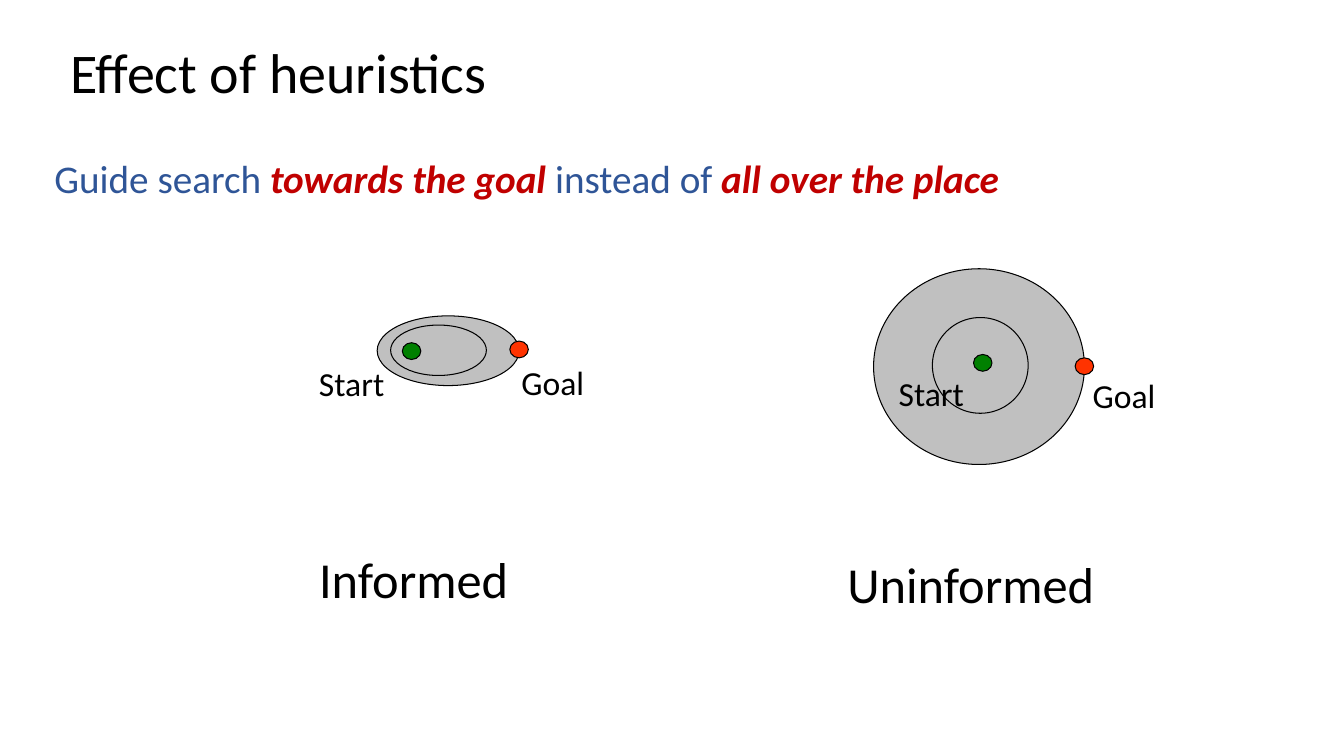
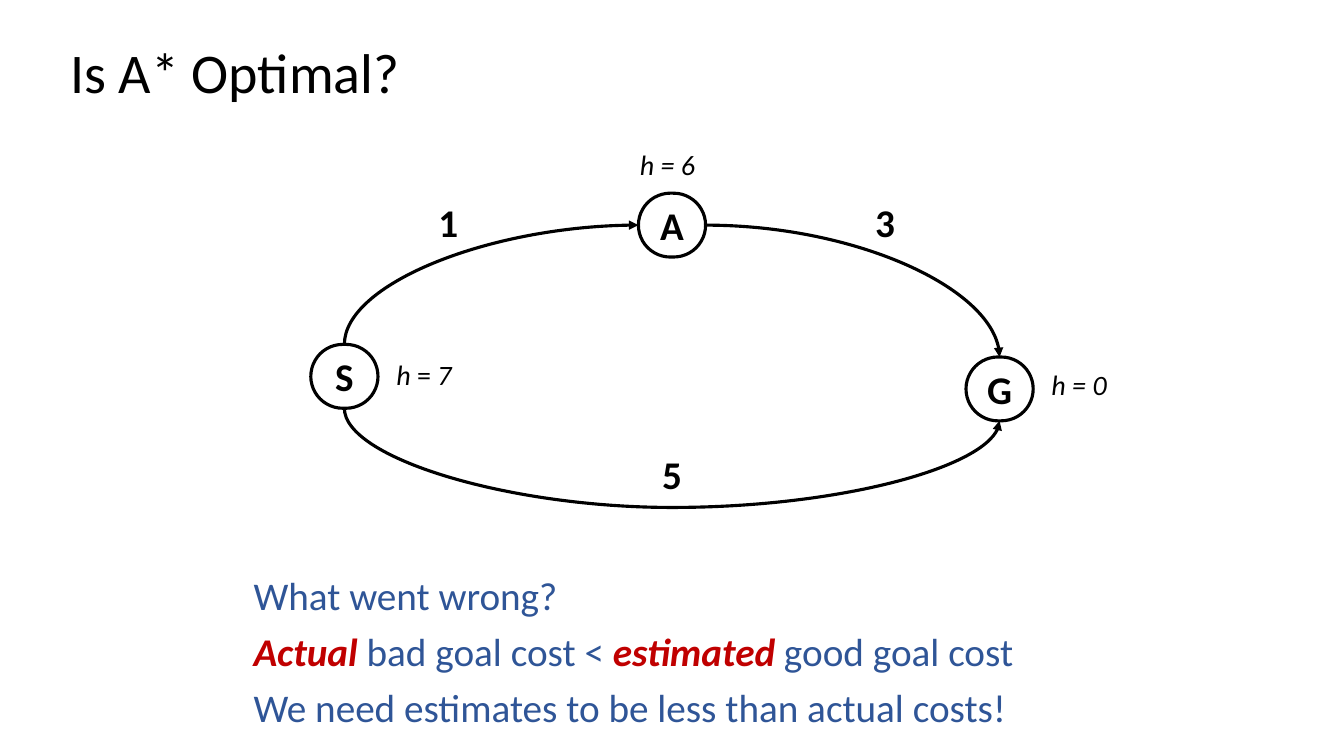
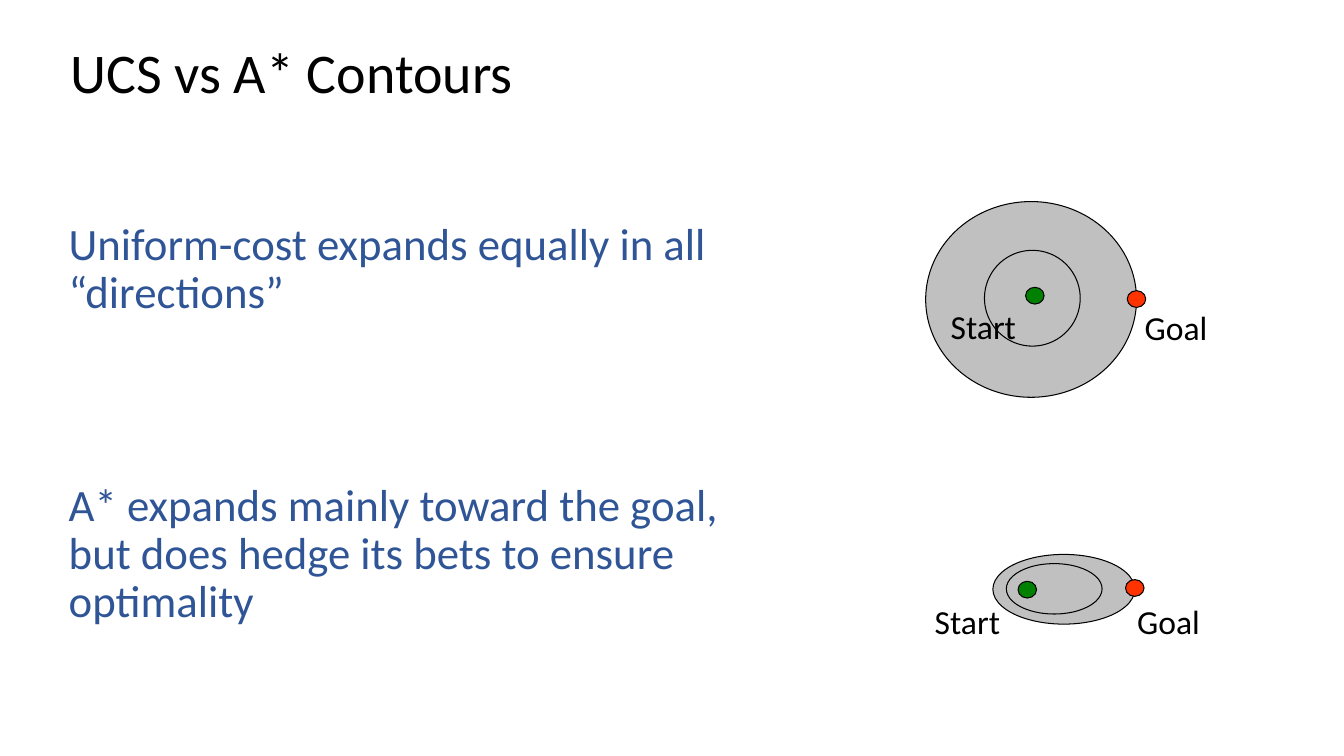
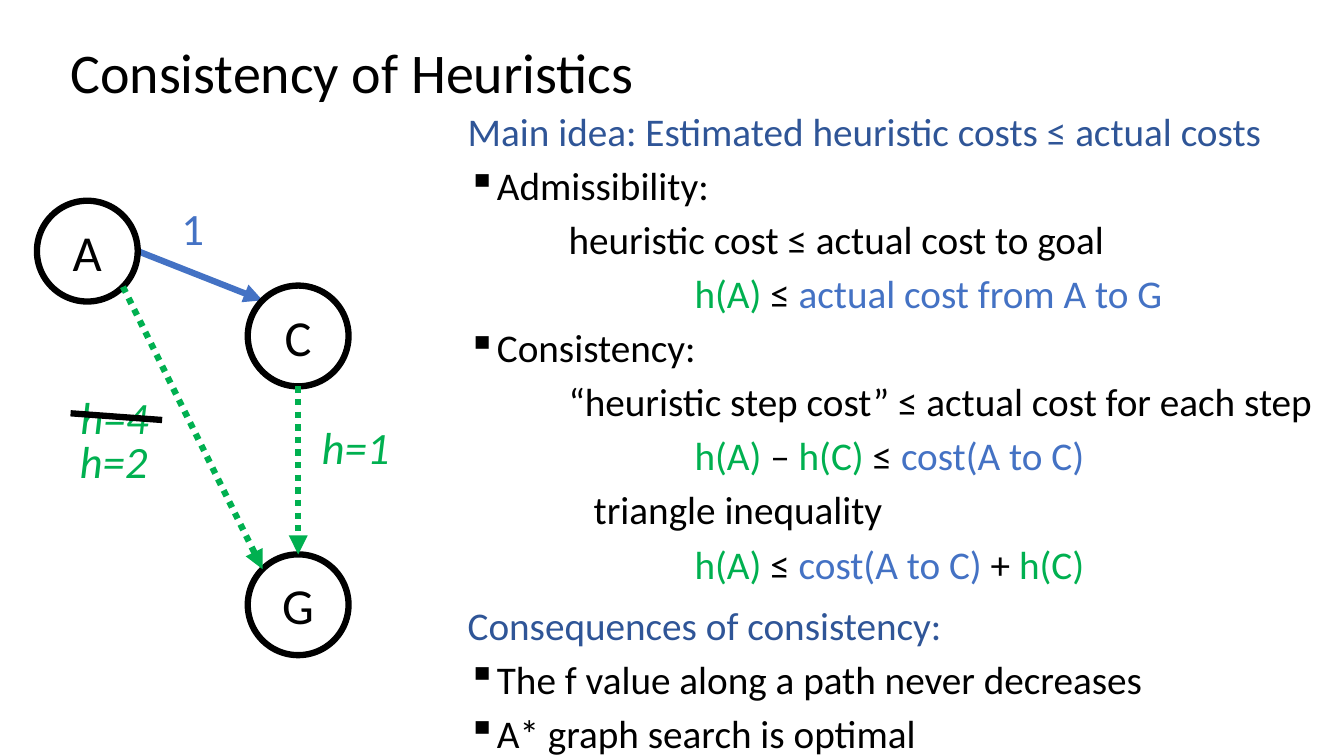
from dataclasses import dataclass
from math import cos, radians, sin

from lxml import etree
from pptx import Presentation
from pptx.dml.color import RGBColor
from pptx.enum.dml import MSO_LINE
from pptx.enum.shapes import MSO_CONNECTOR, MSO_SHAPE
from pptx.enum.text import MSO_ANCHOR, PP_ALIGN
from pptx.oxml.ns import qn
from pptx.util import Inches, Pt

ELLIPSE, ROUNDED = MSO_SHAPE.OVAL, MSO_SHAPE.ROUNDED_RECTANGLE
STRAIGHT, CURVE = MSO_CONNECTOR.STRAIGHT, MSO_CONNECTOR.CURVE
LEFT, CENTER = PP_ALIGN.LEFT, PP_ALIGN.CENTER
TOP, MIDDLE = MSO_ANCHOR.TOP, MSO_ANCHOR.MIDDLE
DOTTED = MSO_LINE.ROUND_DOT
SITE_TOP, SITE_LEFT, SITE_BOTTOM, SITE_RIGHT = range(4)

# The grid has 12 cells to the inch.
COLS, ROWS = 160, 90
CELL = Inches(1 / 12)


@dataclass(frozen=True)
class Theme:
    font: str = "Calibri"
    black: str = "000000"
    white: str = "FFFFFF"
    heading: str = "2F5597"
    alert: str = "C00000"
    cost: str = "4472C4"
    estimate: str = "00B050"
    contour: str = "C0C0C0"
    start: str = "008000"
    goal: str = "FF3300"
    title: int = 40
    large: int = 36
    lead: int = 32
    body: int = 28
    label: int = 24
    note: int = 20
    thin: float = 0.75
    medium: float = 2.25
    thick: float = 4.5


T = Theme()


@dataclass(frozen=True)
class Run:
    text: str
    color: str = T.black
    bold: bool = False
    italic: bool = False


@dataclass(frozen=True)
class Para:
    runs: tuple
    before: float = 0
    indent: float = 0
    bullet: bool = False


@dataclass(frozen=True)
class Contour:
    """Search area; all places count from its upper left corner."""
    size: tuple
    inner: tuple
    start: tuple
    start_label: tuple
    goal: tuple
    goal_label: tuple


UNINFORMED = Contour((25.1, 23.3), (7, 5.8, 11.4, 11.4),
                     (11.9, 10.2), (1.8, 11.8), (24, 10.6), (24.9, 12))
INFORMED = Contour((16.9, 8.3), (1.6, 1.1, 11.4, 6),
                   (3, 3.2), (-8.1, 5), (15.8, 3), (16, 4.9))
DOT = (2.2, 2)


def cells(*lengths):
    return [round(n * CELL) for n in lengths]


def rgb(color):
    return RGBColor.from_string(color)


def heading(text, before=0):
    return Para((Run(text, T.heading),), before)


def alert(text):
    return Run(text, T.alert, bold=True, italic=True)


def write(tf, paras, size, align=LEFT, spacing=None):
    for i, para in enumerate(paras):
        p = tf.add_paragraph() if i else tf.paragraphs[0]
        p.alignment = align
        p.space_before = Pt(para.before)
        if spacing:
            p.line_spacing = spacing
        pPr = p._p.get_or_add_pPr()
        pPr.set("marL", str(Inches(para.indent)))
        if para.bullet:
            pPr.set("indent", str(-Inches(para.indent)))
            etree.SubElement(pPr, qn("a:buChar")).set("char", "▪")
        for run in para.runs:
            r = p.add_run()
            r.text = run.text
            r.font.name = T.font
            r.font.size = Pt(size)
            r.font.bold = run.bold
            r.font.italic = run.italic
            r.font.color.rgb = rgb(run.color)


def text_box(s, box, paras, size, align=LEFT, spacing=None, wrap=True, anchor=TOP):
    tf = s.shapes.add_textbox(*cells(*box)).text_frame
    tf.word_wrap = wrap
    tf.vertical_anchor = anchor
    write(tf, paras, size, align, spacing)


def label(s, box, *runs, size, align=LEFT, wrap=True):
    text_box(s, box, [Para(runs)], size, align, wrap=wrap)


def outline(s, kind, box, fill, width):
    sp = s.shapes.add_shape(kind, *cells(*box))
    sp.shadow.inherit = False
    if fill:
        sp.fill.solid()
        sp.fill.fore_color.rgb = rgb(fill)
    else:
        sp.fill.background()
    sp.line.color.rgb = rgb(T.black)
    sp.line.width = Pt(width)
    return sp


def node(s, kind, box, run, size, fill, width, wrap):
    sp = outline(s, kind, box, fill, width)
    tf = sp.text_frame
    tf.word_wrap = wrap
    tf.vertical_anchor = MIDDLE
    write(tf, [Para((run,))], size, CENTER)
    return sp


def style_line(line, color, width, arrow=True, dash=None):
    line.line.color.rgb = rgb(color)
    line.line.width = Pt(width)
    if dash:
        line.line.dash_style = dash
    if arrow:
        ln = line.line._get_or_add_ln()
        etree.SubElement(ln, qn("a:tailEnd")).set("type", "triangle")
    etree.SubElement(line._element.spPr, qn("a:effectLst"))


def straight(s, start, end, color, **style):
    line = s.shapes.add_connector(STRAIGHT, *cells(*start, *end))
    style_line(line, color, T.thick, **style)


def curve(s, start, end, preset, turn=0, flips="", sag=None):
    """Join two (node, site) ends; sag is how far the curve dips, in cells."""
    line = s.shapes.add_connector(CURVE, 0, 0, 0, 0)
    line.begin_connect(*start)
    line.end_connect(*end)
    xfrm = line._element.spPr.find(qn("a:xfrm"))
    geom = line._element.spPr.find(qn("a:prstGeom"))
    geom.set("prst", preset)
    if sag:
        guide = etree.SubElement(geom.find(qn("a:avLst")), qn("a:gd"))
        guide.set("name", "adj1")
        guide.set("fmla", f"val {round(sag * CELL / line.height * 100000)}")
    if turn:
        w, h = line.width, line.height
        line.left += (w - h) // 2
        line.top += (h - w) // 2
        line.width, line.height = h, w
        xfrm.set("rot", str(turn * 60000))
    for axis in "HV":
        xfrm.set(f"flip{axis}", str(int(axis in flips)))
    style_line(line, T.black, T.medium)


def contour(s, x, y, area):
    group = s.shapes.add_group_shape()

    def place(at):
        return x + at[0], y + at[1]

    outline(group, ELLIPSE, (x, y, *area.size), T.contour, T.thin)
    for text, color, dot, caption in (
            ("Start", T.start, area.start, area.start_label),
            ("Goal", T.goal, area.goal, area.goal_label)):
        outline(group, ELLIPSE, (*place(dot), *DOT), color, T.thin)
        label(group, (*place(caption), 12, 6), Run(text), size=T.label)
    outline(group, ELLIPSE, (*place(area.inner), *area.inner[2:]), None, T.thin)


def new_slide(prs, title):
    s = prs.slides.add_slide(prs.slide_layouts[6])
    text_box(s, (7.2, 4.8, 138, 8.3), [Para((Run(title),))], T.title,
             spacing=0.9, anchor=MIDDLE)
    return s


def heuristics_slide(prs):
    s = new_slide(prs, "Effect of heuristics")
    guide = Para((Run("Guide search ", T.heading), alert("towards the goal "),
                  Run("instead of ", T.heading), alert("all over the place")))
    text_box(s, (5.3, 18.4, 149.3, 12.7), [guide], T.body, spacing=0.9)
    contour(s, 104, 32, UNINFORMED)
    contour(s, 44.9, 37.6, INFORMED)
    label(s, (99.7, 65.2, 32.3, 8.5), Run("Uninformed"), size=T.large, wrap=False)
    label(s, (36.8, 64.6, 25.3, 8.5), Run("Informed"), size=T.large, wrap=False)


def optimality_slide(prs):
    s = new_slide(prs, "Is A* Optimal?")
    text_box(s, (29, 68, 125.6, 12.4), [
        heading("What went wrong?"),
        Para((alert("Actual"), Run(" bad goal cost < ", T.heading),
              alert("estimated"), Run(" good goal cost", T.heading)), 10),
        heading("We need estimates to be less than actual costs!", 10),
    ], T.body, spacing=0.9)

    nodes = {}
    for name, x, y in (("A", 76, 23), ("G", 115, 42.5), ("S", 37, 41)):
        nodes[name] = node(s, ROUNDED, (x, y, 8, 7.6), Run(name, bold=True),
                           T.body, None, T.medium, wrap=False)
        nodes[name].adjustments[0] = 0.5

    for cost, x, y, w, align in (("1", 51, 23, 6, LEFT), ("3", 103, 23, 6, LEFT),
                                 ("5", 0, 53, COLS, CENTER)):
        label(s, (x, y, w, 6.8), Run(cost, bold=True), size=T.body, align=align)
    for text, x, y in (("h = 6", 75, 17), ("h = 0", 124, 43.2)):
        label(s, (x, y, 12, 5.3), Run(text, italic=True), size=T.note)
    label(s, (46, 42, 10, 5.3), Run("h", italic=True), Run(" = "),
          Run("7", italic=True), size=T.note)

    a, g, start = nodes["A"], nodes["G"], nodes["S"]
    curve(s, (start, SITE_BOTTOM), (g, SITE_BOTTOM), "curvedConnector3",
          270, "H", sag=11.8)
    curve(s, (start, SITE_TOP), (a, SITE_LEFT), "curvedConnector2", 90, "HV")
    curve(s, (a, SITE_RIGHT), (g, SITE_TOP), "curvedConnector2")


def contours_slide(prs):
    s = new_slide(prs, "UCS vs A* Contours")
    text_box(s, (7, 25.8, 88, 59.4), [
        heading("Uniform-cost expands equally in all “directions”"),
        heading("A* expands mainly toward the goal, but does hedge its bets "
                "to ensure optimality", 117),
    ], T.lead, spacing=0.9)
    contour(s, 110.2, 24, UNINFORMED)
    contour(s, 118.2, 66, INFORMED)


def consistency_text(s):
    def bullet(text):
        return Para((Run(text),), 5, 0.25, bullet=True)

    def line(indent, *runs):
        return Para(runs, 5, indent)

    def estimate(text):
        return Run(text, T.estimate)

    def cost(text):
        return Run(text, T.cost)

    text_box(s, (54.5, 12.2, 104.8, 75.6), [
        heading("Main idea: Estimated heuristic costs ≤ actual costs"),
        bullet("Admissibility:"),
        line(1, Run("heuristic cost ≤ actual cost to goal")),
        line(2.25, estimate("h(A) "), Run("≤ "), cost("actual cost from A to G")),
        bullet("Consistency:"),
        line(1, Run("“heuristic step cost” ≤ actual cost for each step")),
        line(2.25, estimate("h(A) "), Run("–"), estimate(" h(C) "), Run("≤ "),
             cost("cost(A to C)")),
        line(1.25, Run("triangle inequality")),
        line(2.25, estimate("h(A) "), Run("≤ "), cost("cost(A to C) "), Run("+ "),
             estimate("h(C)")),
        heading("Consequences of consistency:", 10),
        bullet("The f value along a path never decreases"),
        bullet("A* graph search is optimal"),
    ], T.body)


def consistency_slide(prs):
    s = new_slide(prs, "Consistency of Heuristics")
    consistency_text(s)
    radius = 6
    centers = {"A": (10.4, 29.9), "C": (35.5, 40), "G": (35.5, 72)}

    def rim(name, angle):
        """Point on a node's edge; angles run clockwise from the right."""
        x, y = centers[name]
        return x + radius * cos(radians(angle)), y + radius * sin(radians(angle))

    straight(s, rim("A", 0), rim("C", 225), T.cost)
    for name, (x, y) in centers.items():
        node(s, ELLIPSE, (x - radius, y - radius, 2 * radius, 2 * radius),
             Run(name), T.large, T.white, T.thick, wrap=True)
    for text, x, y in (("h=4", 8.4, 45.8), ("h=1", 37.1, 49.4), ("h=2", 8.3, 51.1)):
        label(s, (x, y, 10.7, 7.7), Run(text, T.estimate, italic=True),
              size=T.lead, wrap=False)
    label(s, (20.4, 23.3, 5.2, 7.7), Run("1", T.cost), size=T.lead, wrap=False)
    straight(s, rim("A", 45), rim("G", 225), T.estimate, dash=DOTTED)
    straight(s, (8.4, 49.2), (19.3, 50), T.black, arrow=False)
    straight(s, rim("C", 90), rim("G", 270), T.estimate, dash=DOTTED)


def main():
    prs = Presentation()
    prs.slide_width, prs.slide_height = cells(COLS, ROWS)
    heuristics_slide(prs)
    optimality_slide(prs)
    contours_slide(prs)
    consistency_slide(prs)
    prs.save("out.pptx")


if __name__ == "__main__":
    main()
